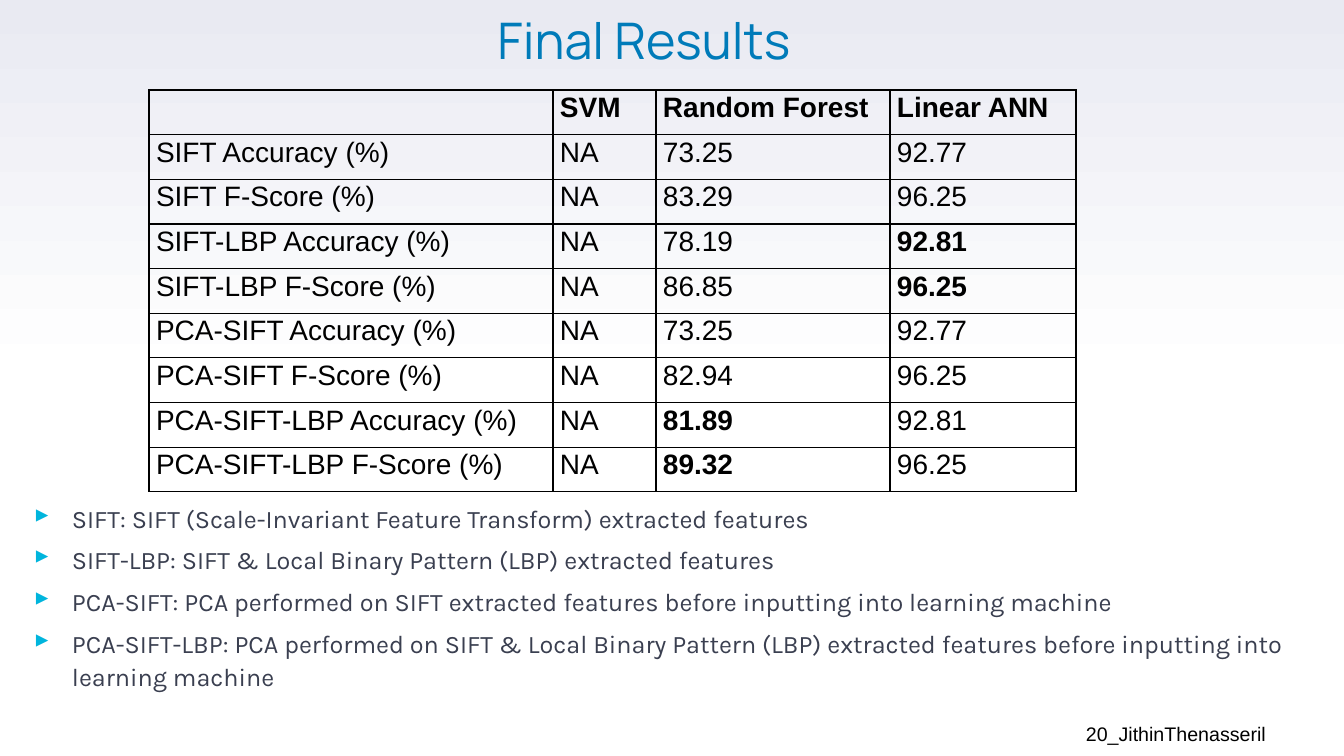
from dataclasses import dataclass

import lxml.etree
import pptx
import pptx.dml.color
import pptx.enum.text
import pptx.oxml.ns
import pptx.util

EMU_PER_PX = 914400 / 100.8


@dataclass(frozen=True)
class Theme:
    title_color: str = "007BB9"
    body_color: str = "3A3F50"
    bullet_color: str = "00B5DD"
    ink: str = "000000"
    sky: str = "E9EAF2"
    paper: str = "FFFFFF"
    title_font: str = "Manrope"
    body_font: str = "Karla"
    table_font: str = "Arial"
    title_size: int = 36
    table_size: int = 20
    body_size: int = 18
    footer_size: int = 14


THEME = Theme()

HEADERS = ["", "SVM", "Random Forest", "Linear ANN"]
RESULTS = [
    ("SIFT Accuracy (%)", "NA", "73.25", "92.77"),
    ("SIFT F-Score (%)", "NA", "83.29", "96.25"),
    ("SIFT-LBP Accuracy (%)", "NA", "78.19", "92.81"),
    ("SIFT-LBP F-Score (%)", "NA", "86.85", "96.25"),
    ("PCA-SIFT Accuracy (%)", "NA", "73.25", "92.77"),
    ("PCA-SIFT F-Score (%)", "NA", "82.94", "96.25"),
    ("PCA-SIFT-LBP Accuracy (%)", "NA", "81.89", "92.81"),
    ("PCA-SIFT-LBP F-Score (%)", "NA", "89.32", "96.25"),
]
BEST_CELLS = {(3, 3), (4, 3), (7, 2), (8, 2)}
COLUMN_WIDTHS = [404, 103, 234, 186]
FEATURE_NOTES = [
    "SIFT: SIFT (Scale-Invariant Feature Transform) extracted features",
    "SIFT-LBP: SIFT & Local Binary Pattern (LBP) extracted features",
    "PCA-SIFT: PCA performed on SIFT extracted features before inputting into learning machine",
    "PCA-SIFT-LBP: PCA performed on SIFT & Local Binary Pattern (LBP) extracted features "
    "before inputting into learning machine",
]


def px(n):
    return pptx.util.Emu(round(n * EMU_PER_PX))


def sub(parent, tag, **attrs):
    """Append a DrawingML child element and return it."""
    return lxml.etree.SubElement(parent, pptx.oxml.ns.qn(tag), attrs)


def style_runs(p, font, size, color, bold=False):
    for r in p.runs:
        r.font.name = font
        r.font.size = pptx.util.Pt(size)
        r.font.bold = bold
        r.font.color.rgb = pptx.dml.color.RGBColor.from_string(color)


def clear_margins(tf):
    tf.margin_left = tf.margin_top = tf.margin_right = tf.margin_bottom = 0


def set_background(s):
    fill = s.background.fill
    fill.gradient()
    fill.gradient_angle = 90
    stops = next(s.element.iter(pptx.oxml.ns.qn("a:gsLst")))
    for stop in list(stops):
        stops.remove(stop)
    for percent, color in ((0, THEME.paper), (50, THEME.paper), (100, THEME.sky)):
        stop = sub(stops, "a:gs", pos=str(percent * 1000))
        sub(stop, "a:srgbClr", val=color)


def set_title(s, text, x, y, w, h):
    sp = s.shapes.title
    sp.left, sp.top, sp.width, sp.height = px(x), px(y), px(w), px(h)
    tf = sp.text_frame
    tf.text = text
    tf.auto_size = pptx.enum.text.MSO_AUTO_SIZE.NONE
    tf.vertical_anchor = pptx.enum.text.MSO_ANCHOR.TOP
    clear_margins(tf)
    p = tf.paragraphs[0]
    p.alignment = pptx.enum.text.PP_ALIGN.CENTER
    p.line_spacing = 0.8
    style_runs(p, THEME.title_font, THEME.title_size, THEME.title_color)


def add_cell_borders(cell):
    tcPr = cell._tc.get_or_add_tcPr()
    for side in ("a:lnL", "a:lnR", "a:lnT", "a:lnB"):
        ln = sub(tcPr, side, w=str(pptx.util.Pt(1)))
        sub(sub(ln, "a:solidFill"), "a:srgbClr", val=THEME.ink)


def fill_cell(cell, text, bold):
    add_cell_borders(cell)
    cell.fill.background()
    cell.margin_left = cell.margin_right = px(7)
    cell.margin_top = cell.margin_bottom = 0
    cell.text_frame.text = text
    p = cell.text_frame.paragraphs[0]
    p.line_spacing = 1.07
    style_runs(p, THEME.table_font, THEME.table_size, THEME.ink, bold)


def add_results_table(s, x, y, h):
    rows = [HEADERS, *RESULTS]
    frame = s.shapes.add_table(len(rows), len(HEADERS), px(x), px(y),
                               px(sum(COLUMN_WIDTHS)), px(h))
    table = frame.table
    table.first_row = table.horz_banding = False
    for column, width in zip(table.columns, COLUMN_WIDTHS):
        column.width = px(width)
    for i, row in enumerate(rows):
        for j, text in enumerate(row):
            fill_cell(table.cell(i, j), text, i == 0 or (i, j) in BEST_CELLS)


def add_bullet(p):
    pPr = p._p.get_or_add_pPr()
    pPr.set("marL", str(px(50)))
    pPr.set("indent", str(px(-38)))
    sub(sub(pPr, "a:buClr"), "a:srgbClr", val=THEME.bullet_color)
    sub(pPr, "a:buChar", char="▸")


def add_bullet_list(s, items, x, y, w, h):
    tf = s.shapes.add_textbox(px(x), px(y), px(w), px(h)).text_frame
    tf.word_wrap = True
    clear_margins(tf)
    for i, item in enumerate(items):
        p = tf.add_paragraph() if i else tf.paragraphs[0]
        p.text = item
        add_bullet(p)
        p.line_spacing = 1.1
        p.space_before = pptx.util.Pt(6 if i else 0)
        style_runs(p, THEME.body_font, THEME.body_size, THEME.body_color)


def add_footer(s, text, x, y, w, h):
    tf = s.shapes.add_textbox(px(x), px(y), px(w), px(h)).text_frame
    tf.word_wrap = True
    tf.text = text
    style_runs(tf.paragraphs[0], THEME.table_font, THEME.footer_size, THEME.ink)


def main():
    prs = pptx.Presentation()
    prs.slide_width, prs.slide_height = px(1344), px(756)
    s = prs.slides.add_slide(prs.slide_layouts[5])
    set_background(s)
    add_footer(s, "20_JithinThenasseril", 1076, 717, 252, 34)
    set_title(s, "Final Results", 229, 21, 830, 79)
    add_results_table(s, 149, 90, 402)
    add_bullet_list(s, FEATURE_NOTES, 22, 500, 1276, 218)
    prs.save("out.pptx")


if __name__ == "__main__":
    main()
